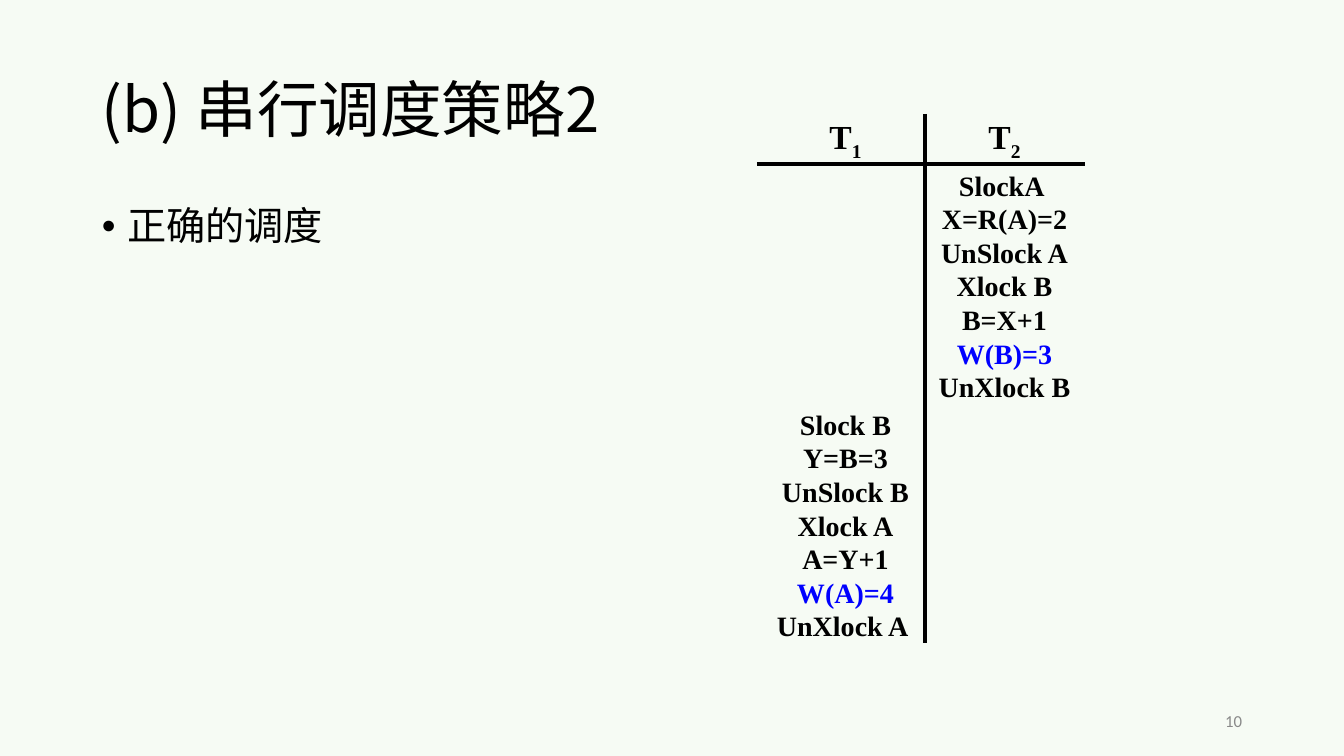
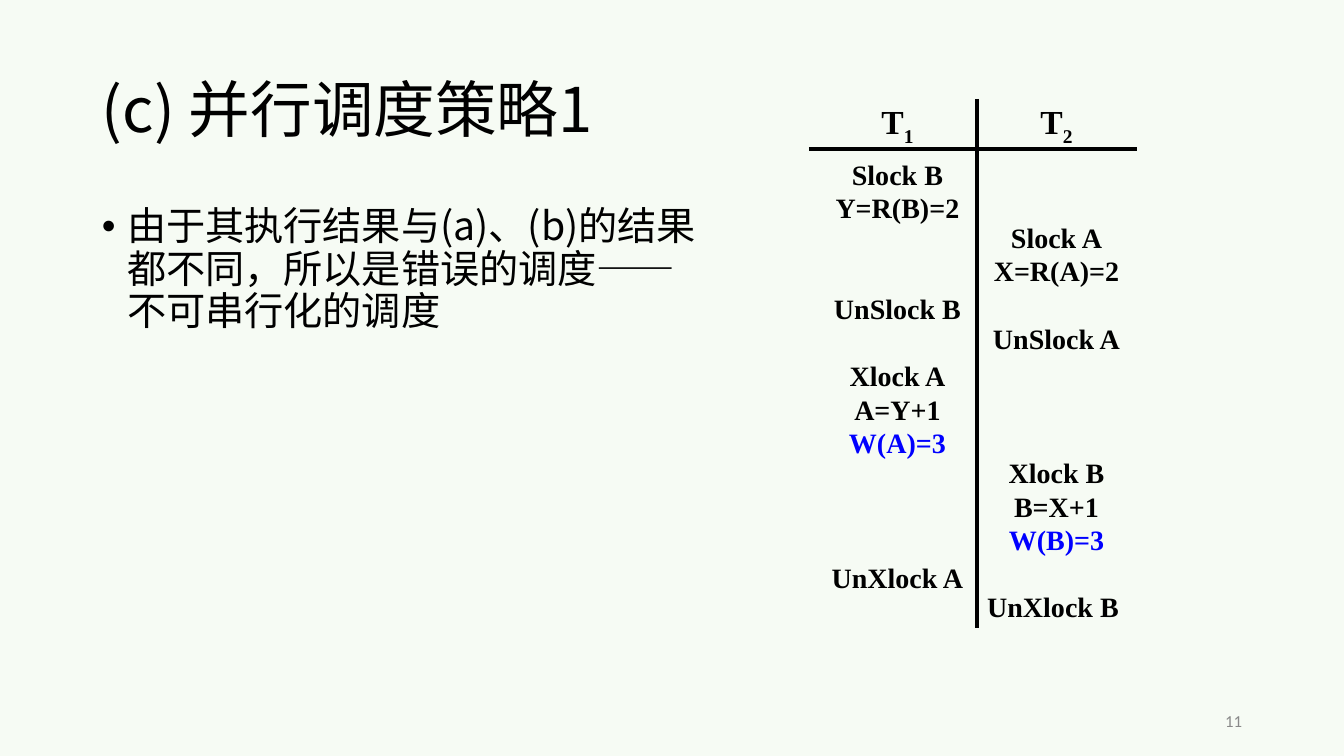
from lxml.etree import SubElement
from pptx import Presentation
from pptx.dml.color import RGBColor
from pptx.enum.shapes import MSO_CONNECTOR
from pptx.enum.text import MSO_ANCHOR, PP_ALIGN
from pptx.oxml.ns import qn
from pptx.util import Emu, Pt

BLACK = RGBColor(0x00, 0x00, 0x00)
BLUE = RGBColor(0x00, 0x00, 0xFF)
GRAY = RGBColor(0x89, 0x89, 0x89)
PALE_GREEN = RGBColor(0xF6, 0xFB, 0xF4)

CJK_FONT = "Noto Sans CJK SC"
SERIF_FONT = "Times New Roman"
NUMBER_FONT = "Calibri"

SLIDES = [
    {
        "title": "(b) 串行调度策略2",
        "body": "正确的调度",
        "body_width": 1159,
        "number": "10",
        "divider": (925, 114),
        "steps": [
            (2, ["SlockA ", "X=R(A)=2", "UnSlock A", "Xlock B", "B=X+1",
                 "W(B)=3", "UnXlock B"]),
            (1, ["Slock B", "Y=B=3", "UnSlock B", "Xlock A", "A=Y+1",
                 "W(A)=4", "UnXlock A "]),
        ],
    },
    {
        "title": "(c) 并行调度策略1",
        "body": "由于其执行结果与(a)、(b)的结果都不同，所以是错误的调度——不可串行化的调度",
        "body_width": 620,
        "number": "11",
        "divider": (977, 99),
        "steps": [
            (1, ["Slock B", "Y=R(B)=2"]),
            (2, ["Slock A", "X=R(A)=2"]),
            (1, ["UnSlock B"]),
            (2, ["UnSlock A"]),
            (1, ["Xlock A", "A=Y+1", "W(A)=3"]),
            (2, ["Xlock B", "B=X+1", "W(B)=3"]),
            (1, ["UnXlock A"]),
            (2, ["UnXlock B "]),
        ],
    },
]

COLUMN_WIDTH = 159
HEADER_HEIGHT = 50
DIVIDER_HEIGHT = 529
RULE_LEFT, RULE_RIGHT = 168, 160
ROW_POINTS = 24
ROW_COUNT = 14
FIRST_ROW_OFFSET = {1: 8, 2: 4}


def px(value):
    return Emu(round(value * 914400 / 100.8))


def add_text_box(slide, left, top, width, height, anchor=MSO_ANCHOR.MIDDLE):
    shape = slide.shapes.add_textbox(px(left), px(top), px(width), px(height))
    frame = shape.text_frame
    frame.word_wrap = True
    frame.vertical_anchor = anchor
    return frame


def add_run(paragraph, text, size, font, color=BLACK, bold=False):
    run = paragraph.add_run()
    run.text = text
    run.font.size = Pt(size)
    run.font.name = font
    run.font.bold = bold
    run.font.color.rgb = color
    properties = run._r.get_or_add_rPr()
    SubElement(properties, qn("a:ea")).set("typeface", font)
    return run


def add_line(slide, x1, y1, x2, y2):
    line = slide.shapes.add_connector(
        MSO_CONNECTOR.STRAIGHT, px(x1), px(y1), px(x2), px(y2))
    line.line.color.rgb = BLACK
    line.line.width = Pt(2.25)
    SubElement(line._element.spPr, qn("a:effectLst"))


def add_title(slide, text):
    paragraph = add_text_box(slide, 92, 40, 1159, 146).paragraphs[0]
    paragraph.line_spacing = 0.9
    add_run(paragraph, text, 44, CJK_FONT)


def add_body(slide, text, width):
    frame = add_text_box(slide, 92, 202, width, 480, MSO_ANCHOR.TOP)
    paragraph = frame.paragraphs[0]
    paragraph.line_spacing = 0.9
    paragraph.space_before = Pt(10)
    properties = paragraph._p.get_or_add_pPr()
    properties.set("marL", str(Pt(18)))
    properties.set("indent", str(-Pt(18)))
    SubElement(properties, qn("a:buFont")).set("typeface", "Arial")
    SubElement(properties, qn("a:buChar")).set("char", "•")
    add_run(paragraph, text, 28, CJK_FONT)


def add_number(slide, text):
    paragraph = add_text_box(slide, 950, 701, 302, 40).paragraphs[0]
    paragraph.alignment = PP_ALIGN.RIGHT
    add_run(paragraph, text, 12, NUMBER_FONT, GRAY)


def add_header(slide, column, left, top):
    frame = add_text_box(slide, left, top, COLUMN_WIDTH, HEADER_HEIGHT)
    paragraph = frame.paragraphs[0]
    paragraph.alignment = PP_ALIGN.CENTER
    add_run(paragraph, "T", 24, SERIF_FONT, bold=True)
    subscript = add_run(paragraph, str(column), 24, SERIF_FONT, bold=True)
    subscript._r.get_or_add_rPr().set("baseline", "-25000")


def add_operations(slide, rows, left, top):
    row_height = ROW_POINTS * 100.8 / 72
    first_row = rows[0][0]
    frame = add_text_box(
        slide, left, top + first_row * row_height, COLUMN_WIDTH,
        (ROW_COUNT - first_row) * row_height, MSO_ANCHOR.TOP)
    frame.margin_top = frame.margin_bottom = 0
    next_row = first_row
    for row, operation in rows:
        first = row == first_row
        paragraph = frame.paragraphs[0] if first else frame.add_paragraph()
        paragraph.alignment = PP_ALIGN.CENTER
        paragraph.line_spacing = Pt(ROW_POINTS)
        paragraph.space_before = Pt((row - next_row) * ROW_POINTS)
        color = BLUE if operation.startswith("W(") else BLACK
        add_run(paragraph, operation, 20, SERIF_FONT, color, True)
        next_row = row + 1


def add_schedule(slide, divider, steps):
    x, top = divider
    rule = top + HEADER_HEIGHT
    add_line(slide, x - RULE_LEFT, rule, x + RULE_RIGHT, rule)
    add_line(slide, x, top, x, top + DIVIDER_HEIGHT)
    columns = {1: [], 2: []}
    row = 0
    for column, operations in steps:
        columns[column] += enumerate(operations, row)
        row += len(operations)
    for column, rows in columns.items():
        left = x + (column - 2) * COLUMN_WIDTH
        add_header(slide, column, left, top)
        add_operations(slide, rows, left, rule + FIRST_ROW_OFFSET[column])


def main():
    presentation = Presentation()
    presentation.slide_width = px(1344)
    presentation.slide_height = px(756)
    background = presentation.slide_master.background.fill
    background.solid()
    background.fore_color.rgb = PALE_GREEN
    for content in SLIDES:
        slide = presentation.slides.add_slide(presentation.slide_layouts[6])
        add_title(slide, content["title"])
        add_body(slide, content["body"], content["body_width"])
        add_number(slide, content["number"])
        add_schedule(slide, content["divider"], content["steps"])
    presentation.save("out.pptx")


if __name__ == "__main__":
    main()
